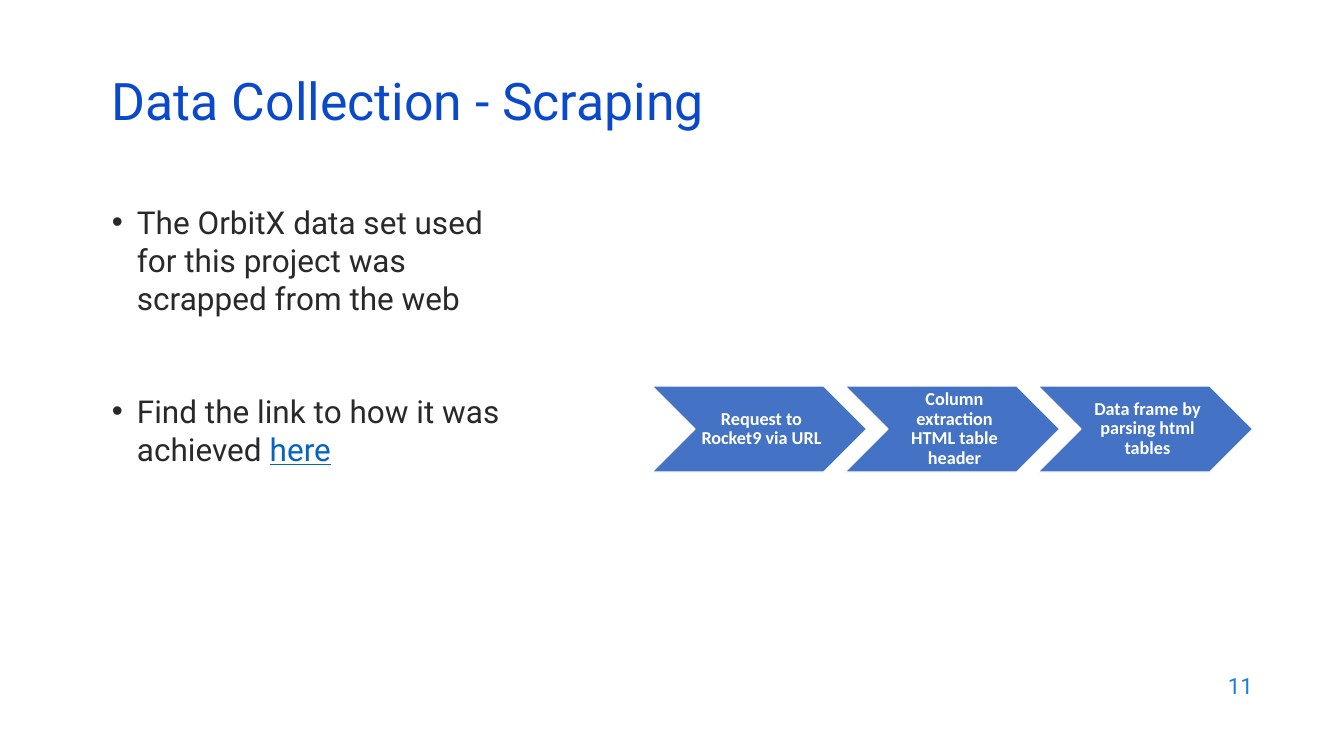
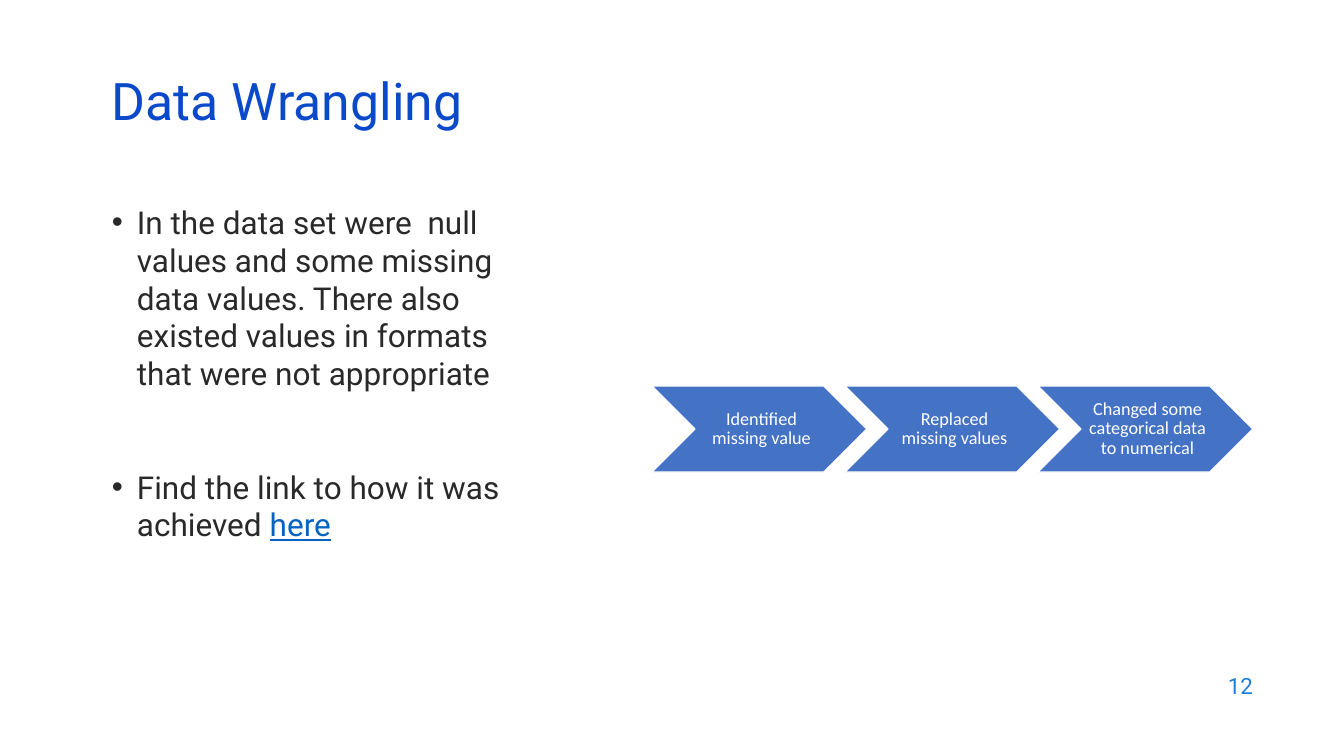
import pptx
import pptx.util
import pptx.dml.color
import pptx.enum.shapes
import pptx.enum.text
import pptx.oxml.ns
from lxml import etree

EMU_PER_PX = 914400 / 100.8
ALIGN = pptx.enum.text.PP_ALIGN
MIDDLE = pptx.enum.text.MSO_ANCHOR.MIDDLE
TOP = pptx.enum.text.MSO_ANCHOR.TOP

STEP_FILL = "4472C4"
WHITE = "FFFFFF"
TITLE = {"name": "Roboto", "size": 37, "color": "0B49CB"}
BODY = {"name": "Roboto", "size": 22.5, "color": "292929"}
LINK = {**BODY, "color": "0563C1", "underline": True}
PAGE = {"name": "Roboto", "size": 16, "color": "1C7DDB"}
STEP = {"name": "Calibri", "size": 13, "color": WHITE}

STEP_LEFT, STEP_TOP, STEP_WIDTH, STEP_HEIGHT = 652, 386, 215, 86
STEP_PITCH = 193
BULLET_INDENT = 25
BULLET_GAP = 54

SLIDES = [
    {
        "page": "11",
        "title": "Data Collection - Scraping",
        "finding": "The OrbitX data set used for this project was scrapped from the web",
        "steps": [
            "Request to Rocket9 via URL",
            "Column extraction HTML table header",
            "Data frame by parsing html tables",
        ],
        "bold_steps": True,
    },
    {
        "page": "12",
        "title": "Data Wrangling",
        "finding": "In the data set were  null values and some missing data values. "
                   "There also existed values in formats that were not appropriate",
        "steps": [
            "Identified missing value",
            "Replaced missing values",
            "Changed some categorical data to numerical",
        ],
        "bold_steps": False,
    },
]


def px(*lengths):
    return [pptx.util.Emu(round(length * EMU_PER_PX)) for length in lengths]


def rgb(value):
    return pptx.dml.color.RGBColor.from_string(value)


def write(paragraph, text, style):
    """Append a run formatted from a dict of font values."""
    run = paragraph.add_run()
    run.text = text
    for key, value in style.items():
        if key == "color":
            run.font.color.rgb = rgb(value)
        else:
            setattr(run.font, key, pptx.util.Pt(value) if key == "size" else value)


deck = pptx.Presentation()
deck.slide_width, deck.slide_height = px(1344, 756)

for content in SLIDES:
    slide = deck.slides.add_slide(deck.slide_layouts[6])

    frames = {}
    for part, box, anchor in [
        ("page", (961, 664, 302, 44), MIDDLE),
        ("body", (102, 198, 433, 420), TOP),
        ("title", (102, 77, 1159, 60), MIDDLE),
    ]:
        frames[part] = slide.shapes.add_textbox(*px(*box)).text_frame
        frames[part].word_wrap = True
        frames[part].vertical_anchor = anchor

    page_number = frames["page"].paragraphs[0]
    page_number.alignment = ALIGN.RIGHT
    write(page_number, content["page"], PAGE)

    heading = frames["title"].paragraphs[0]
    heading.line_spacing = 0.7
    write(heading, content["title"], TITLE)

    finding = frames["body"].paragraphs[0]
    reference = frames["body"].add_paragraph()
    for bullet in (finding, reference):
        properties = bullet._p.get_or_add_pPr()
        indent = px(BULLET_INDENT)[0]
        properties.set("marL", str(indent))
        properties.set("indent", str(-indent))
        for tag, key, value in [("a:buFont", "typeface", "Arial"), ("a:buChar", "char", "•")]:
            etree.SubElement(properties, pptx.oxml.ns.qn(tag)).set(key, value)
    reference.space_before = pptx.util.Pt(BULLET_GAP)
    write(finding, content["finding"], BODY)
    write(reference, "Find the link to how it was achieved ", BODY)
    write(reference, "here", LINK)

    for index, label in enumerate(content["steps"]):
        step = slide.shapes.add_shape(
            pptx.enum.shapes.MSO_SHAPE.CHEVRON,
            *px(STEP_LEFT + index * STEP_PITCH, STEP_TOP, STEP_WIDTH, STEP_HEIGHT))
        step.shadow.inherit = False
        step.fill.solid()
        step.fill.fore_color.rgb = rgb(STEP_FILL)
        step.line.color.rgb = rgb(WHITE)
        step.line.width = pptx.util.Pt(1)
        frame = step.text_frame
        frame.word_wrap = True
        frame.vertical_anchor = MIDDLE
        for side, inset in {"left": 6, "top": 2, "right": 2, "bottom": 2}.items():
            setattr(frame, f"margin_{side}", px(inset)[0])
        paragraph = frame.paragraphs[0]
        paragraph.alignment = ALIGN.CENTER
        paragraph.line_spacing = 0.9
        write(paragraph, label, {**STEP, "bold": content["bold_steps"]})

deck.save("out.pptx")
